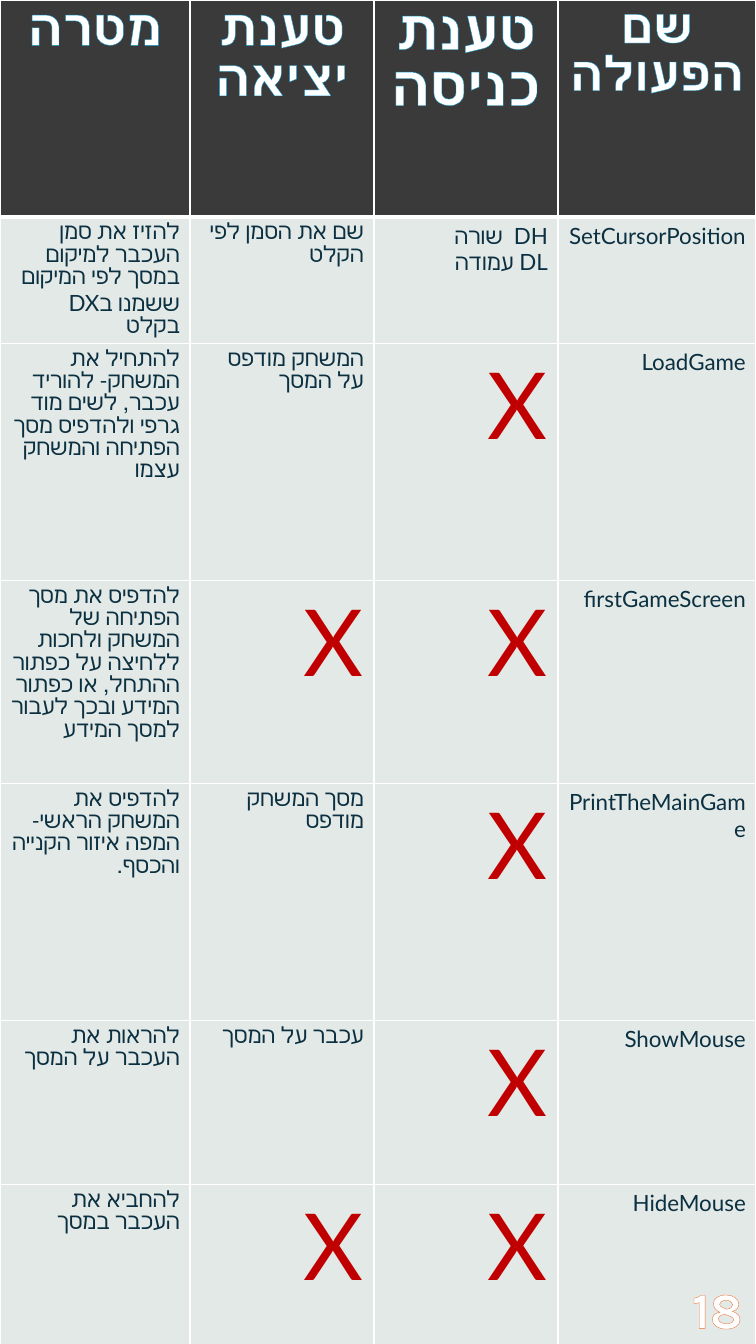
import pptx
import pptx.util
import pptx.dml.color
import pptx.enum.text
import pptx.oxml
import pptx.oxml.ns

PX = 914400 / 100.8
ALIGN = pptx.enum.text.PP_ALIGN
NAMESPACE = pptx.oxml.ns.nsdecls("a")


def color(hex_string):
    return pptx.dml.color.RGBColor.from_string(hex_string)


def style_run(run, font_name, size, hex_string, outline=None):
    run.font.name = font_name
    run.font.size = pptx.util.Pt(size)
    run.font.color.rgb = color(hex_string)
    run.font.bold = outline is not None
    if outline:
        outline_color, width = outline
        run.font._element.insert(0, pptx.oxml.parse_xml(
            f'<a:ln {NAMESPACE} w="{width}"><a:solidFill>'
            f'<a:srgbClr val="{outline_color}"/></a:solidFill></a:ln>'))


presentation = pptx.Presentation()
presentation.slide_width = round(756 * PX)
presentation.slide_height = round(1344 * PX)
slide = presentation.slides.add_slide(presentation.slide_layouts[6])

# Table content, columns from left to right
headings = ["מטרה", "טענת יציאה", "טענת כניסה", "שם הפעולה"]
heading_sizes = [36, 36, 40, 34]
procedures = [
    ["להזיז את סמן העכבר למיקום במסך לפי המיקום ששמנו בDX בקלט",
     "שם את הסמן לפי הקלט", "DH  שורה\nDL עמודה", "SetCursorPosition"],
    ["להתחיל את המשחק- להוריד עכבר, לשים מוד גרפי ולהדפיס מסך הפתיחה והמשחק עצמו",
     "המשחק מודפס על המסך", "X", "LoadGame"],
    ["להדפיס את מסך הפתיחה של המשחק ולחכות ללחיצה על כפתור ההתחל, "
     "או כפתור המידע ובכך לעבור למסך המידע",
     "X", "X", "firstGameScreen"],
    ["להדפיס את המשחק הראשי- המפה איזור הקנייה והכסף.",
     "מסך המשחק מודפס", "X", "PrintTheMainGame"],
    ["להראות את העכבר על המסך", "עכבר על המסך", "X", "ShowMouse"],
    ["להחביא את העכבר במסך", "X", "X", "HideMouse"],
]
rows = [headings] + procedures
column_widths = [190, 184, 184, 198]
row_heights = [217, 120, 237, 203, 237, 164, 164]

# Table grid
table = slide.shapes.add_table(
    len(rows), len(headings), 0, 0,
    round(sum(column_widths) * PX), round(sum(row_heights) * PX)).table
table.horz_banding = False
for column, width in zip(table.columns, column_widths):
    column.width = round(width * PX)
for row, height in zip(table.rows, row_heights):
    row.height = round(height * PX)

# Cells: text, fill and white borders
for row_index, texts in enumerate(rows):
    is_heading = row_index == 0
    for column_index, text in enumerate(texts):
        cell = table.cell(row_index, column_index)
        cell.fill.solid()
        cell.fill.fore_color.rgb = color("3A3A3A" if is_heading else "E3E9E6")
        cell.text_frame.text = text
        for paragraph in cell.text_frame.paragraphs:
            paragraph.alignment = ALIGN.CENTER if is_heading else ALIGN.RIGHT
            paragraph._p.get_or_add_pPr().set("rtl", "1")
            for run in paragraph.runs:
                if is_heading:
                    style_run(run, "Lato", heading_sizes[column_index], "FFFFFF",
                              ("0F9ED5", 12700))
                elif text == "X":
                    style_run(run, "Lato", 66, "C00000")
                else:
                    style_run(run, "Lato", 16, "0B3041")
        for position, side in enumerate("LRTB"):
            thick = (is_heading and side == "B") or (row_index == 1 and side == "T")
            cell._tc.get_or_add_tcPr().insert(position, pptx.oxml.parse_xml(
                f'<a:ln{side} {NAMESPACE} w="{38100 if thick else 12700}"><a:solidFill>'
                f'<a:srgbClr val="FFFFFF"/></a:solidFill></a:ln{side}>'))

# Page number
page_number = slide.shapes.add_textbox(
    round(682 * PX), round(1273 * PX), round(74 * PX), round(71 * PX))
page_number.text_frame.word_wrap = True
page_number.text_frame.text = "18"
style_run(page_number.text_frame.paragraphs[0].runs[0], "Karla", 36, "FFFFFF",
          ("E97132", 6600))

presentation.save("out.pptx")
